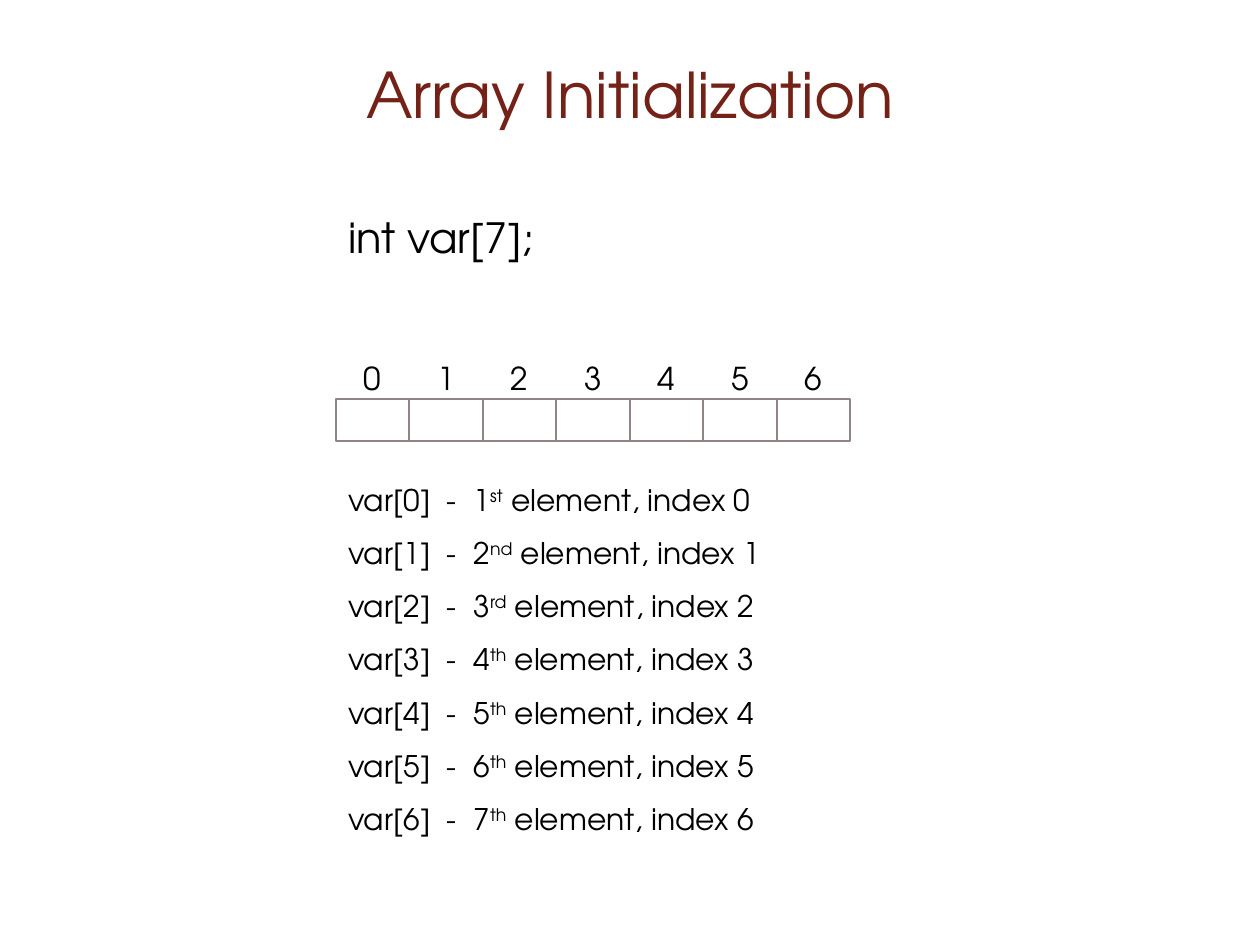
import pptx
import pptx.dml.color
import pptx.enum.shapes
import pptx.enum.text
import pptx.util

Cm = pptx.util.Cm
FONT = "TeX Gyre Adventor"
ALIGN = pptx.enum.text.PP_ALIGN
ANCHOR = pptx.enum.text.MSO_ANCHOR
ORDINALS = ["st", "nd", "rd", "th", "th", "th", "th"]


def color(value):
    return pptx.dml.color.RGBColor.from_string(value)


def add_run(p, text, size=18, fill="000000", superscript=False):
    r = p.add_run()
    r.text = text
    r.font.name = FONT
    r.font.size = pptx.util.Pt(size)
    r.font.color.rgb = color(fill)
    if superscript:
        r._r.get_or_add_rPr().set("baseline", "30000")


def add_box(shapes, x, y, w, h, align=ALIGN.LEFT, anchor=ANCHOR.TOP):
    tf = shapes.add_textbox(Cm(x), Cm(y), Cm(w), Cm(h)).text_frame
    tf.word_wrap = True
    tf.vertical_anchor = anchor
    tf.paragraphs[0].alignment = align
    return tf


def add_text(shapes, text, x, y, w, h, align=ALIGN.LEFT, anchor=ANCHOR.TOP, **fmt):
    tf = add_box(shapes, x, y, w, h, align, anchor)
    add_run(tf.paragraphs[0], text, **fmt)


def add_array(s, x, y, w, h, count):
    grp = s.shapes.add_group_shape()
    cell_w, cell_h = w / count, h / 2
    for i in range(count):
        left = x + i * cell_w
        sp = grp.shapes.add_shape(
            pptx.enum.shapes.MSO_SHAPE.RECTANGLE,
            Cm(left), Cm(y + cell_h), Cm(cell_w), Cm(cell_h))
        sp.shadow.inherit = False
        sp.fill.solid()
        sp.fill.fore_color.rgb = color("FFFFFF")
        sp.line.color.rgb = color("918485")
        sp.line.width = pptx.util.Pt(1.25)
        add_text(grp.shapes, str(i), left, y, cell_w, cell_h,
                 align=ALIGN.CENTER, anchor=ANCHOR.MIDDLE, size=18)


def add_elements(s, x, y, w, h):
    tf = add_box(s.shapes, x, y, w, h)
    for i, ordinal in enumerate(ORDINALS):
        p = tf.add_paragraph() if i else tf.paragraphs[0]
        if i:
            p.space_before = pptx.util.Pt(10)
        add_run(p, f"var[{i}]  -  {i + 1}", size=17)
        add_run(p, ordinal, size=17, superscript=True)
        add_run(p, f" element, index {i}", size=17)


def main():
    prs = pptx.Presentation()
    prs.slide_width, prs.slide_height = Cm(25.4), Cm(19.05)
    s = prs.slides.add_slide(prs.slide_layouts[6])
    add_text(s.shapes, "Array Initialization", 2, 1, 21.4, 3.55,
             align=ALIGN.CENTER, size=36, fill="742217")
    add_text(s.shapes, "int var[7];", 6.77, 4.14, 13.54, 1.3, size=23.8)
    add_array(s, 6.77, 7.2, 10.37, 1.69, len(ORDINALS))
    add_elements(s, 6.77, 9.58, 13.54, 7.6)
    prs.save("out.pptx")


if __name__ == "__main__":
    main()
